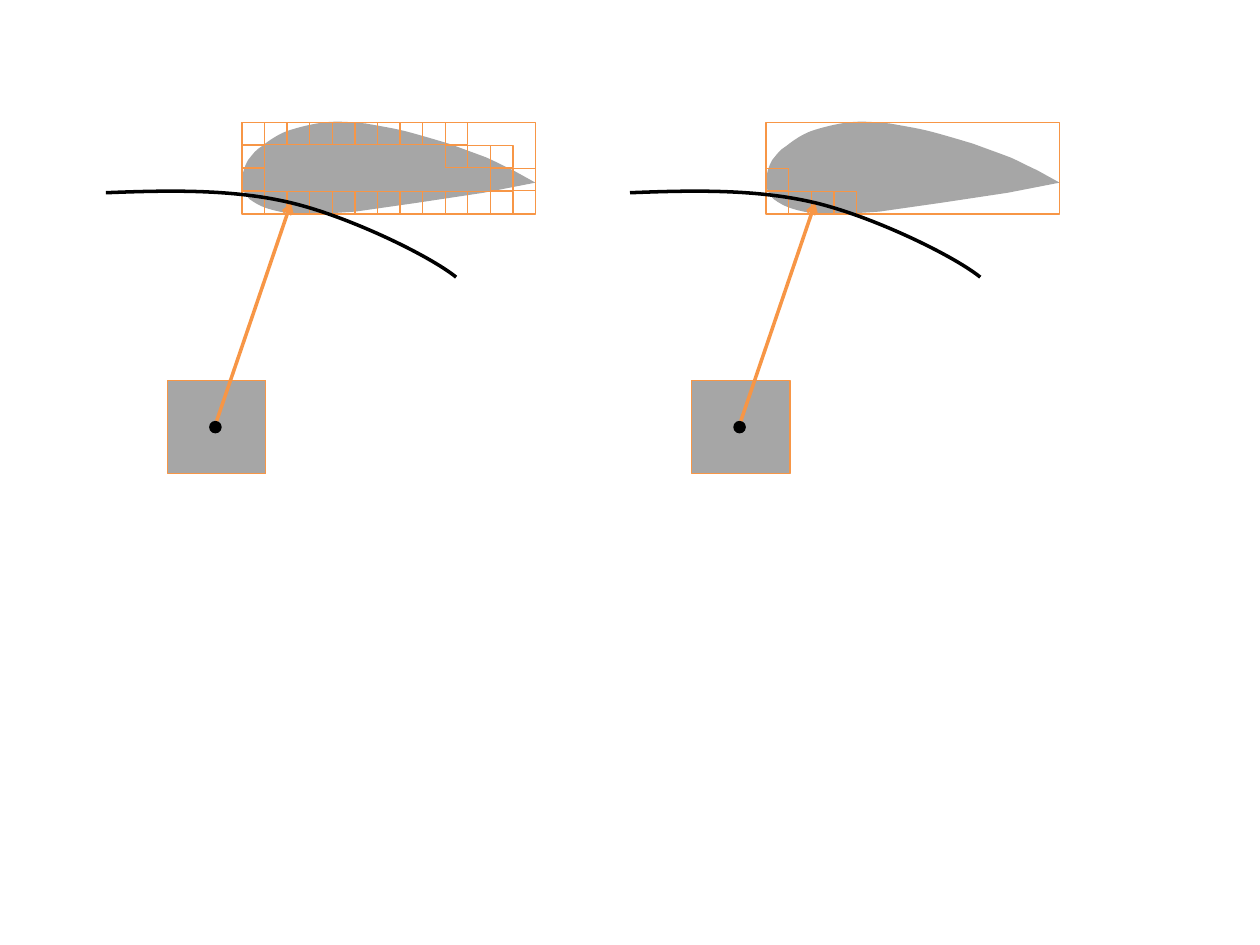
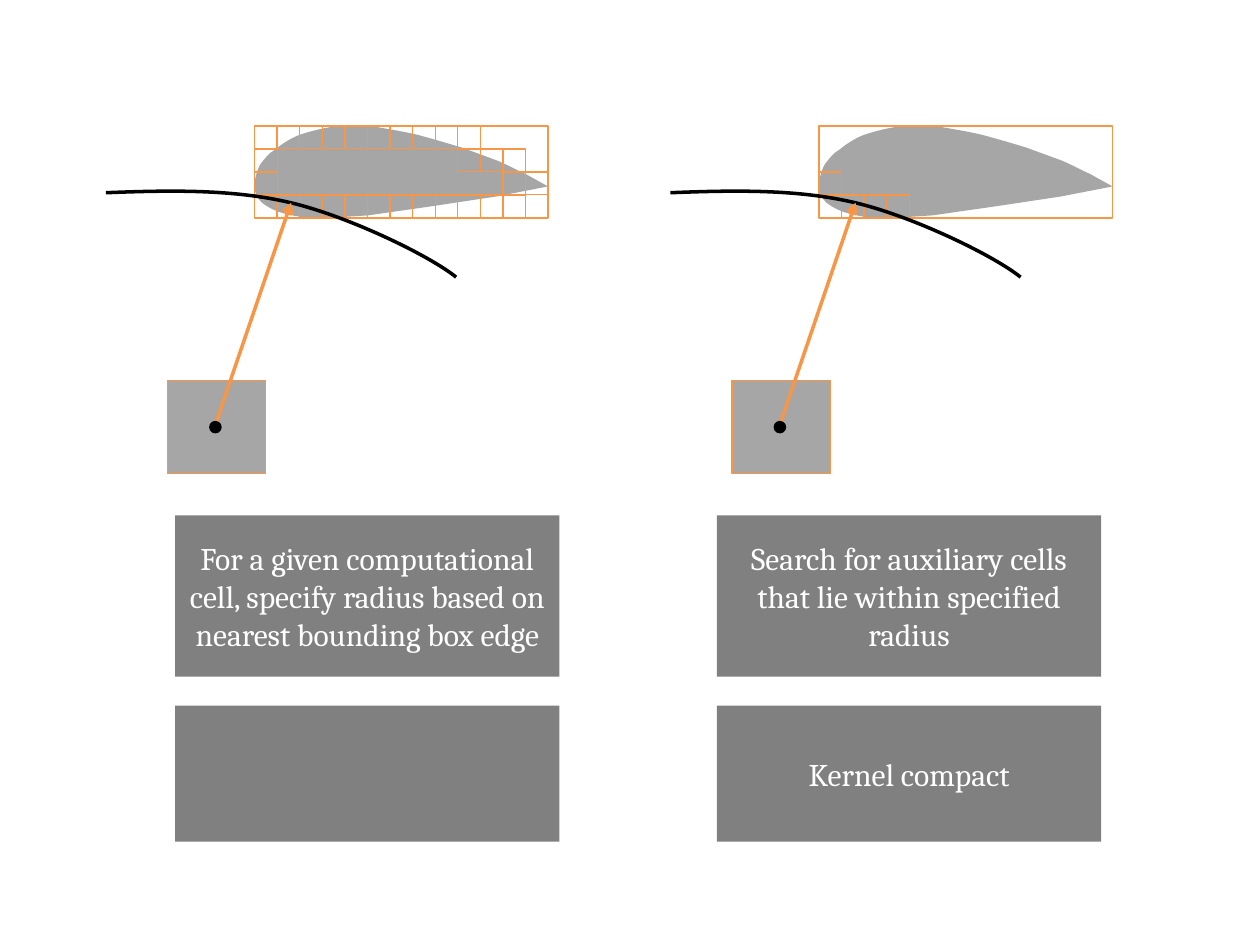
from lxml import etree
from pptx import Presentation
from pptx.dml.color import RGBColor
from pptx.enum.shapes import MSO_CONNECTOR as CONN, MSO_SHAPE as SHAPE
from pptx.enum.text import MSO_ANCHOR as ANCHOR, PP_ALIGN as ALIGN
from pptx.oxml.ns import qn
from pptx.util import Inches, Pt

COLORS = {"accent": "F79646", "solid": "A6A6A6", "label": "808080", "ink": "000000", "text": "FFFFFF"}
FONT = "Cambria"

WING_W, WING_H = 2.33, 0.73
WING_COLS, WING_ROWS = 13, 4
CELL_SIZE = 0.18
WING_OUTLINE = [
    (2.33, 0.48), (2.15, 0.38),
    (2.08, 0.35, 2.03, 0.32, 1.94, 0.28), (1.86, 0.25, 1.75, 0.21, 1.64, 0.17),
    (1.54, 0.14, 1.44, 0.11, 1.33, 0.08), (1.22, 0.05, 1.09, 0.03, 0.98, 0.01),
    (0.87, 0, 0.77, -0.01, 0.67, 0), (0.57, 0.01, 0.45, 0.04, 0.36, 0.07),
    (0.28, 0.1, 0.21, 0.15, 0.16, 0.19), (0.11, 0.22, 0.09, 0.25, 0.05, 0.3),
    (0.02, 0.35, 0, 0.42, 0, 0.48), (0, 0.53, 0.02, 0.57, 0.06, 0.61),
    (0.1, 0.64, 0.15, 0.67, 0.22, 0.69), (0.29, 0.71, 0.38, 0.73, 0.49, 0.73),
    (0.61, 0.73, 0.75, 0.72, 0.9, 0.71), (1.04, 0.69, 1.39, 0.64, 1.39, 0.64),
    (1.92, 0.56), (2.33, 0.48),
]
SURFACE = [(0, 0.01), (0.5, -0.01, 1.01, -0.02, 1.47, 0.09), (1.93, 0.2, 2.57, 0.51, 2.78, 0.68)]

BOUNDARY_CELLS = [(1, 0), (0, 0), (2, 0), (3, 0)]
BOUNDARY_CELLS += [(row, col) for col in range(1, 9) for row in (0, 3)]
BOUNDARY_CELLS += [(1, 9), (0, 9), (3, 9), (1, 10), (3, 10), (1, 11), (2, 11), (3, 11), (2, 12)]
NEARBY_CELLS = [(2, 0)] + [(3, col) for col in range(4)]


def rgb(name):
    """Return the named colour."""
    return RGBColor.from_string(COLORS[name])


def style(sp, fill=None, line=None, width=0.75):
    """Set fill and line of a shape and drop its shadow."""
    sp.shadow.inherit = False
    if fill:
        sp.fill.solid()
        sp.fill.fore_color.rgb = rgb(fill)
    else:
        sp.fill.background()
    if line:
        sp.line.color.rgb = rgb(line)
        sp.line.width = Pt(width)
    else:
        sp.line.fill.background()


def add_box(slide, x, y, w, h, fill=None, line=None, kind=SHAPE.RECTANGLE):
    """Add a preset shape."""
    sp = slide.shapes.add_shape(kind, Inches(x), Inches(y), Inches(w), Inches(h))
    style(sp, fill, line)
    return sp


def add_outline(slide, x, y, outline, close, **look):
    """Add a freeform of lines and cubic curves relative to x, y."""
    ends = [(Inches(x + part[-2]), Inches(y + part[-1])) for part in outline]
    builder = slide.shapes.build_freeform(*ends[0])
    builder.add_line_segments(ends[1:], close=close)
    sp = builder.convert_to_shape()
    segments = list(sp._element.iter(qn("a:lnTo")))
    for segment, part in zip(segments, outline[1:]):
        if len(part) == 2:
            continue
        segment.tag = qn("a:cubicBezTo")
        for i in (0, 2):
            pt = etree.Element(qn("a:pt"), x=str(Inches(x + part[i]) - sp.left),
                               y=str(Inches(y + part[i + 1]) - sp.top))
            segment.insert(i // 2, pt)
    style(sp, **look)


def add_arrow(slide, x1, y1, x2, y2):
    """Add an arrow in the accent colour."""
    line = slide.shapes.add_connector(CONN.STRAIGHT, Inches(x1), Inches(y1), Inches(x2), Inches(y2))
    line.line.color.rgb = rgb("accent")
    line.line.width = Pt(2)
    etree.SubElement(line.line._get_or_add_ln(), qn("a:tailEnd"), type="arrow")
    etree.SubElement(line._element.spPr, qn("a:effectLst"))


def add_wing(slide, x, y, cells):
    """Add the wing, its bounding box and the given auxiliary cells."""
    add_outline(slide, x, y, WING_OUTLINE, True, fill="solid")
    add_box(slide, x, y, WING_W, WING_H, line="accent")
    for row, col in cells:
        add_box(slide, x + col * WING_W / WING_COLS, y + row * WING_H / WING_ROWS,
                CELL_SIZE, CELL_SIZE, line="accent")


def add_search(slide, x, y, wing_dx, wing_dy, cells, order):
    """Add a computational cell, its search radius and the wing in the given order."""
    def cell():
        """Add the computational cell and its centre."""
        add_box(slide, x + 0.49, y + 1.5, 0.78, 0.74, "solid", "accent")
        add_box(slide, x + 0.82, y + 1.82, 0.1, 0.1, "ink", kind=SHAPE.OVAL)

    parts = {
        "wing": lambda: add_wing(slide, x + wing_dx, y + wing_dy, cells),
        "cell": cell,
        "arrow": lambda: add_arrow(slide, x + 0.88, y + 1.82, x + 1.47, y + 0.09),
        "surface": lambda: add_outline(slide, x, y, SURFACE, False, line="ink", width=2),
    }
    for name in order:
        parts[name]()


def add_label(slide, x, y, w, h, text):
    """Add a grey panel with centred text."""
    sp = add_box(slide, x, y, w, h, "label")
    if not text:
        return
    tf = sp.text_frame
    tf.word_wrap = True
    tf.vertical_anchor = ANCHOR.MIDDLE
    p = tf.paragraphs[0]
    p.alignment = ALIGN.CENTER
    r = p.add_run()
    r.text = text
    r.font.name = FONT
    r.font.size = Pt(18)
    r.font.color.rgb = rgb("text")


def search_slide(prs, right_x, wing_dx, wing_dy, order):
    """Add a slide comparing all boundary cells with the nearby ones."""
    slide = prs.slides.add_slide(prs.slide_layouts[6])
    for x, cells in ((0.84, BOUNDARY_CELLS), (right_x, NEARBY_CELLS)):
        add_search(slide, x, 1.52, wing_dx, wing_dy, cells, order)
    return slide


def add_steps(slide, x, y):
    """Add the step panels, two in each row."""
    steps = [
        (0, 0, 1.28, "For a given computational cell, specify radius based on nearest bounding box edge"),
        (0, 1.51, 1.08, ""),
        (4.3, 1.51, 1.08, "Kernel compact"),
        (4.3, 0, 1.28, "Search for auxiliary cells that lie within specified radius"),
    ]
    for dx, dy, h, text in steps:
        add_label(slide, x + dx, y + dy, 3.05, h, text)


def main():
    """Build the deck."""
    prs = Presentation()
    prs.slide_width, prs.slide_height = Inches(10), Inches(7.5)
    search_slide(prs, 5, 1.08, -0.55, ("wing", "cell", "arrow", "surface"))
    slide = search_slide(prs, 5.32, 1.18, -0.52, ("cell", "wing", "surface", "arrow"))
    add_steps(slide, 1.39, 4.09)
    prs.save("out.pptx")


if __name__ == "__main__":
    main()
